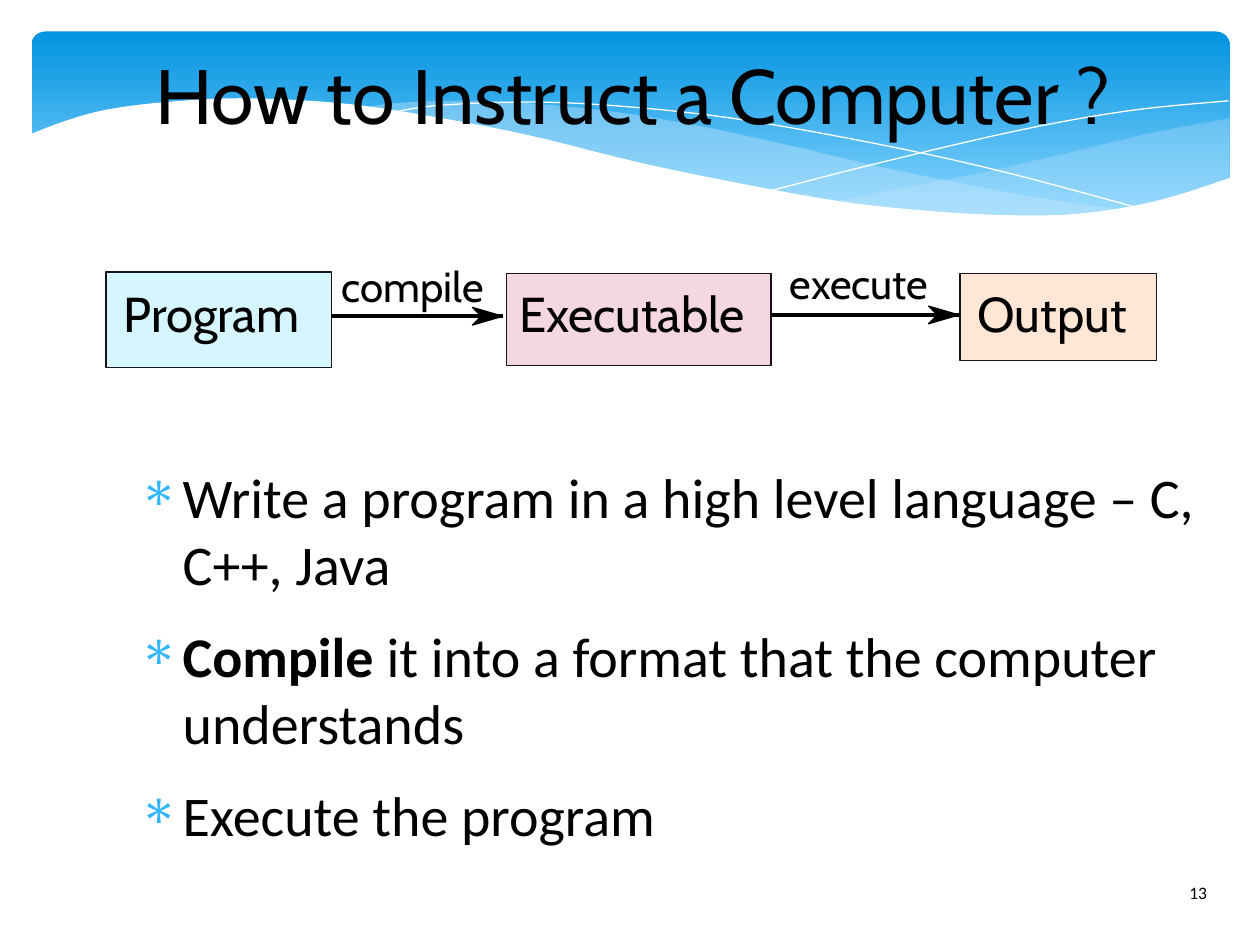
from lxml.etree import SubElement
from pptx import Presentation
from pptx.dml.color import RGBColor
from pptx.enum.shapes import MSO_CONNECTOR, MSO_SHAPE
from pptx.enum.text import MSO_ANCHOR, PP_ALIGN
from pptx.oxml.ns import qn
from pptx.util import Inches, Pt

COLUMNS, ROWS = 100, 75
HEADING, BODY = "Cabin", "Calibri"
BLACK, WHITE, PALE_BLUE = "000000", "FFFFFF", "C6E7FC"

# Knots of the header waves, in grid units
RIGHT_BAND = [(97.6, 9.4), (92.1, 10.4), (86.1, 11.8), (77.9, 13.7), (66.1, 16)]
RIGHT_BAND_BASE = [(66.1, 16), (73.2, 16.8), (81.4, 17.2), (88.1, 16.7),
                   (93.5, 15.6), (97.6, 14.1)]
LONG_BAND = [(89.3, 16.7), (80.7, 15.4), (70.6, 13.4), (62.9, 11.6), (55.5, 10),
             (48.9, 8.9), (42, 8.2), (36.1, 8), (31.3, 8.2), (28.6, 8.6)]
LONG_BAND_BASE = [(28.6, 8.6), (36.2, 9.7), (44.9, 11.6), (56.6, 14.3), (65, 15.8),
                  (73.6, 16.9), (81.8, 17.3), (89.3, 16.7)]
FALLING_LINE = [(30.9, 9), (34.4, 8.4), (41.6, 8.1), (48.9, 8.4), (58.2, 9.4),
                (69.5, 11.4), (79.5, 13.6), (90.7, 16.6)]
RISING_LINE = [(61.3, 15.1), (69.5, 13), (80.6, 10.4), (89.5, 8.8), (97.5, 8)]
WHITE_WAVE = [(97.7, 14.1), (92, 15.9), (86.3, 16.9), (80.9, 17.1), (74.4, 16.8),
              (66.8, 16), (57.9, 14.4), (50.3, 12.8), (41.8, 10.7), (34, 9.2),
              (27.1, 8.2), (19.3, 7.8), (13.2, 8.1), (8.5, 8.7), (5.2, 9.6), (2.3, 10.7)]
WAVE_CORNERS = [(2.3, 22.4), (97.7, 22.4)]


def rgb(hex_colour):
    return RGBColor.from_string(hex_colour)


def curve(knots, steps=5):
    """Return points on a Catmull-Rom curve through the knots."""
    padded = [knots[0], *knots, knots[-1]]
    points = []
    for a, b, c, d in zip(padded, padded[1:], padded[2:], padded[3:]):
        for step in range(steps):
            t = step / steps
            points.append(tuple(
                (2 * q + (r - p) * t + (2 * p - 5 * q + 4 * r - s) * t ** 2
                 + (3 * q - p - 3 * r + s) * t ** 3) / 2
                for p, q, r, s in zip(a, b, c, d)))
    return points + [knots[-1]]


def write(paragraph, text, size=28, font=HEADING, bold=False, colour=BLACK):
    run = paragraph.add_run()
    run.text = text
    run.font.size, run.font.name, run.font.bold = Pt(size), font, bold
    run.font.color.rgb = rgb(colour)


class SlideBuilder:
    def __init__(self):
        self.deck = Presentation()
        self.deck.slide_width, self.deck.slide_height = Inches(10), Inches(7.5)
        self.slide = self.deck.slides.add_slide(self.deck.slide_layouts[6])

    def x(self, columns):
        return round(self.deck.slide_width * columns / COLUMNS)

    def y(self, rows):
        return round(self.deck.slide_height * rows / ROWS)

    def area(self, left, top, width, height):
        return self.x(left), self.y(top), self.x(width), self.y(height)

    def paint(self, shape, fill=None, line=None, opacity=100):
        shape.shadow.inherit = False
        if fill:
            shape.fill.solid()
            shape.fill.fore_color.rgb = rgb(fill)
            if opacity < 100:
                colour = shape._element.spPr.find(".//" + qn("a:srgbClr"))
                SubElement(colour, qn("a:alpha"), val=str(opacity * 1000))
        else:
            shape.fill.background()
        if line:
            shape.line.color.rgb = rgb(line)
            shape.line.width = Pt(0)
        else:
            shape.line.fill.background()

    def banner(self, area, top_colour, bottom_colour):
        shape = self.slide.shapes.add_shape(MSO_SHAPE.ROUNDED_RECTANGLE, *self.area(*area))
        shape.adjustments[0] = 0.07
        self.paint(shape)
        shape.fill.gradient()
        shape.fill.gradient_angle = 270
        stops = shape.fill.gradient_stops
        for stop, colour, position in zip(stops, (top_colour, bottom_colour), (0, 0.9)):
            stop.color.rgb, stop.position = rgb(colour), position

    def outline(self, points, closed=True, **style):
        start, *rest = [(self.x(column), self.y(row)) for column, row in points]
        builder = self.slide.shapes.build_freeform(*start)
        builder.add_line_segments(rest, close=closed)
        self.paint(builder.convert_to_shape(), **style)

    def box(self, area, fill):
        shape = self.slide.shapes.add_shape(MSO_SHAPE.RECTANGLE, *self.area(*area))
        self.paint(shape, fill, "15111D")

    def arrow(self, start, end, row):
        """Draw a horizontal line that ends in a notched head."""
        line = self.slide.shapes.add_connector(
            MSO_CONNECTOR.STRAIGHT, self.x(start), self.y(row), self.x(end), self.y(row))
        line.line.color.rgb, line.line.width = rgb(BLACK), Pt(0)
        SubElement(line._element.spPr, qn("a:effectLst"))
        head = [(end - 1.7, row), (end - 2.4, row + 0.7), (end, row), (end - 2.4, row - 0.7)]
        self.outline(head, fill=BLACK, line=BLACK)

    def frame(self, area, wrap=False, inset=0, anchor=MSO_ANCHOR.TOP):
        frame = self.slide.shapes.add_textbox(*self.area(*area)).text_frame
        frame.word_wrap, frame.vertical_anchor = wrap, anchor
        frame.margin_left = frame.margin_right = self.x(inset)
        frame.margin_top = frame.margin_bottom = self.y(inset / 2)
        return frame

    def label(self, area, text, align=PP_ALIGN.LEFT, frame_style=None, **style):
        paragraph = self.frame(area, **(frame_style or {})).paragraphs[0]
        paragraph.alignment = align
        write(paragraph, text, **style)

    def bullets(self, area, items):
        """Write a bullet for each item, a list of (text, bold) pairs."""
        frame = self.frame(area, wrap=True)
        for index, item in enumerate(items):
            paragraph = frame.add_paragraph() if index else frame.paragraphs[0]
            paragraph.space_after = Pt(14)
            properties = paragraph._p.get_or_add_pPr()
            properties.set("marL", str(self.x(4.7)))
            properties.set("indent", str(self.x(-3.5)))
            colour = SubElement(properties, qn("a:buClr"))
            SubElement(colour, qn("a:srgbClr"), val="31B6FD")
            SubElement(properties, qn("a:buChar"), char="∗")
            for text, bold in item:
                write(paragraph, text, size=32, font=BODY, bold=bold)


def main():
    page = SlideBuilder()

    page.banner((2.5, 2.5, 95.1, 15.6), "0293E0", "83D3FE")
    page.outline(curve(RIGHT_BAND) + curve(RIGHT_BAND_BASE), fill=PALE_BLUE, opacity=29)
    page.outline(curve(LONG_BAND) + curve(LONG_BAND_BASE), fill=PALE_BLUE, opacity=40)
    for line in (FALLING_LINE, RISING_LINE):
        page.outline(curve(line), closed=False, line=WHITE)
    page.outline(curve(WHITE_WAVE) + WAVE_CORNERS, fill=WHITE)

    page.label((9.7, 2.3, 81.1, 10.2), "How to Instruct a Computer\u00a0?", PP_ALIGN.CENTER,
               dict(wrap=True, anchor=MSO_ANCHOR.MIDDLE), size=44)
    page.bullets((9.8, 36.7, 87.7, 29.9), [
        [("Write a program in a high level language – C, C++, Java", False)],
        [("Compile ", True), ("it into a format that the computer understands", False)],
        [("Execute the program", False)],
    ])

    stages = [
        ("Program", "D5F6FF", (8.4, 21.6, 17.9, 7.6), (9.8, 22.5, 16.5, 5.2)),
        ("Executable", "F4D7E3", (40.2, 21.7, 21, 7.3), (41.2, 22.5, 20.8, 5.2)),
        ("Output", "FFE6D5", (76.2, 21.7, 15.6, 6.9), (77.6, 22.5, 13.3, 5.2)),
    ]
    for name, fill, box_area, name_area in stages:
        page.box(box_area, fill)
        page.label(name_area, name)

    steps = [
        ("compile", (26.3, 39.9, 25.1), (27.1, 20.7, 12.4, 4.3)),
        ("execute", (61.2, 76.1, 25), (62.7, 20.4, 12.6, 4.3)),
    ]
    for name, arrow, name_area in steps:
        page.arrow(*arrow)
        page.label(name_area, name, size=24)

    page.label((93.4, 69.5, 6.1, 4), "13", frame_style=dict(wrap=True, inset=1),
               size=10, font=BODY)
    page.deck.save("out.pptx")


if __name__ == "__main__":
    main()
